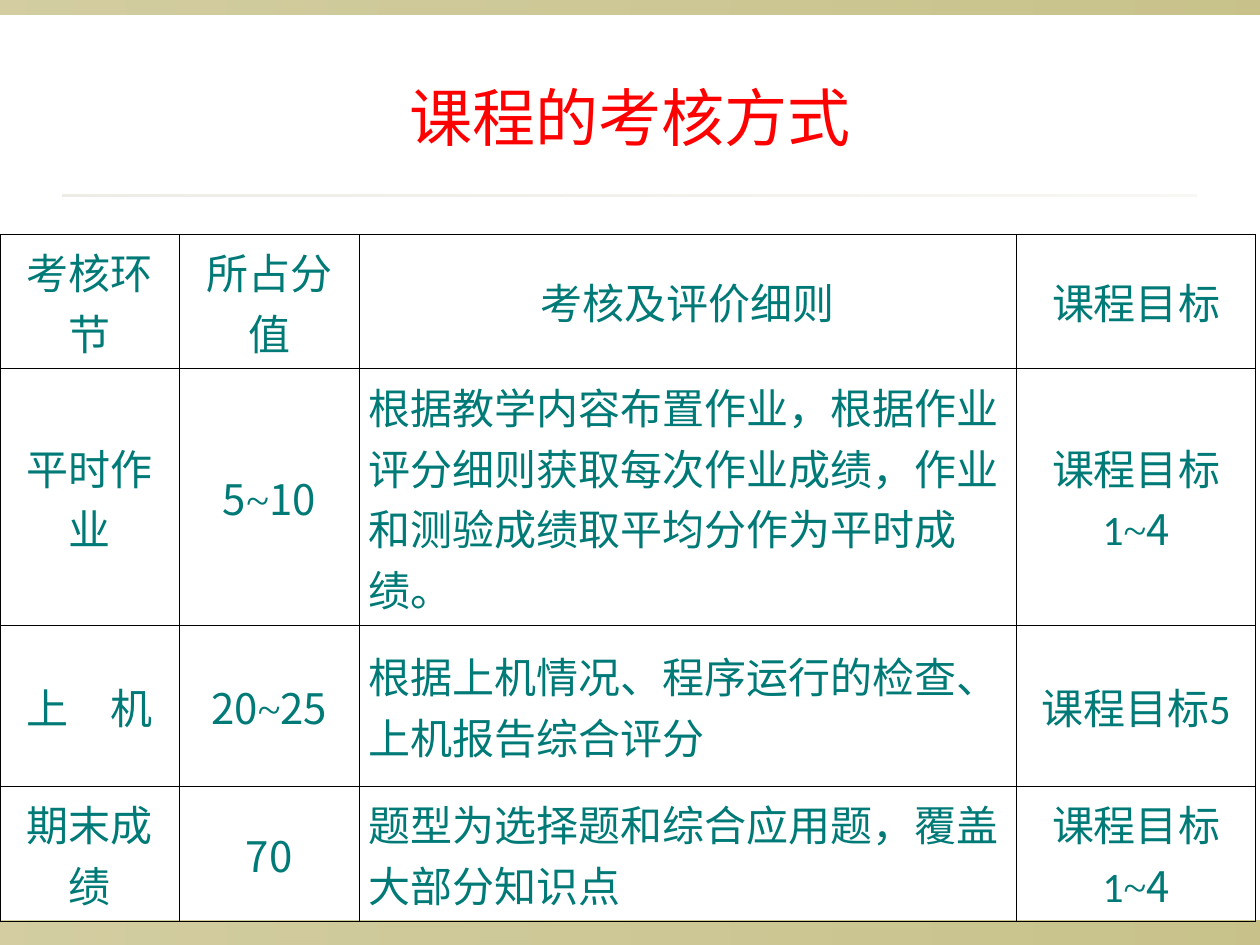
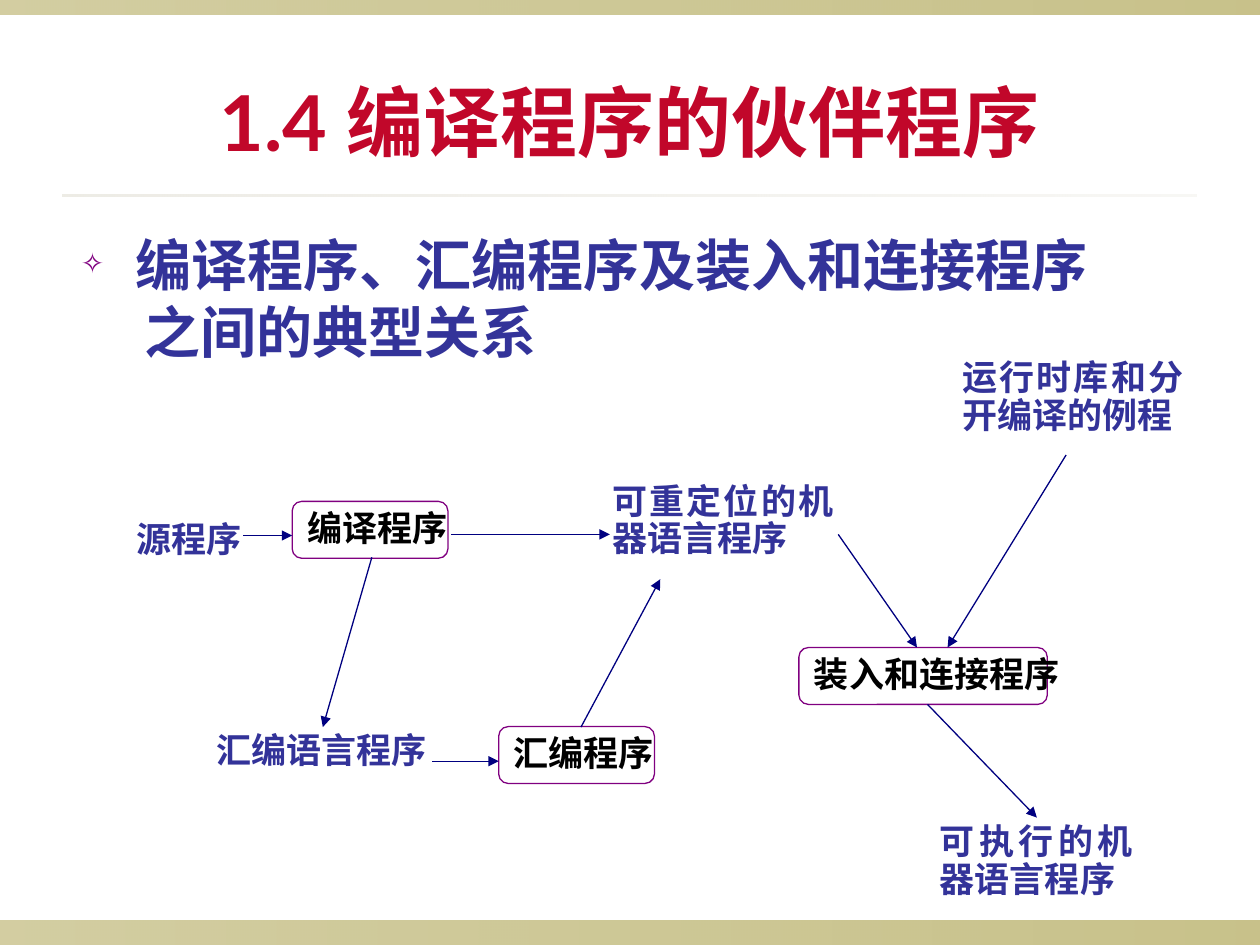
from dataclasses import dataclass

import pptx
import pptx.dml.color
import pptx.enum.shapes
import pptx.enum.text
import pptx.oxml
import pptx.oxml.ns
import pptx.presentation
import pptx.slide
import pptx.table
import pptx.util
from lxml import etree

Pt = pptx.util.Pt
qn = pptx.oxml.ns.qn
ALIGN = pptx.enum.text.PP_ALIGN
ANCHOR = pptx.enum.text.MSO_ANCHOR
FIT = pptx.enum.text.MSO_AUTO_SIZE
SHAPE = pptx.enum.shapes.MSO_SHAPE
LINE = pptx.enum.shapes.MSO_CONNECTOR


@dataclass(frozen=True)
class Theme:
    red: str = "FF0000"
    crimson: str = "C1072A"
    teal: str = "007A77"
    blue: str = "333399"
    navy: str = "000080"
    purple: str = "800080"
    black: str = "000000"
    white: str = "FFFFFF"
    olive: str = "918415"
    sand: str = "DCD9CC"
    head: str = "Lato"
    grid: str = "Calibri"
    body: str = "Arial"
    flow: str = "Times New Roman"
    han: str = "Noto Sans CJK SC"
    small: float = 20
    cell: float = 24
    list: float = 32
    title: float = 36
    big: float = 44
    thin: float = 0.45
    edge: float = 0.75


THEME = Theme()


@dataclass(frozen=True)
class Box:
    left: float
    top: float
    width: float
    height: float

    def lengths(self) -> list[int]:
        return [Pt(v) for v in (self.left, self.top, self.width, self.height)]


@dataclass(frozen=True)
class Band:
    box: Box
    color: str
    start: int
    end: int


@dataclass(frozen=True)
class Style:
    font: str
    size: float
    color: str
    bold: bool = False


@dataclass(frozen=True)
class Node:
    text: str
    left: float
    top: float
    width: float
    height: float = 32.5


@dataclass(frozen=True)
class Label:
    text: str
    box: Box
    wrap: bool = True


@dataclass(frozen=True)
class Arrow:
    x1: float
    y1: float
    x2: float
    y2: float


BANDS = [
    Band(Box(0, 526, 720, 14), THEME.olive, 40, 50),
    Band(Box(0, 0, 720, 8.6), THEME.olive, 40, 50),
    Band(Box(36, 110.9, 648, 1.5), THEME.sand, 50, 20),
]
COLS = [102.6, 102.6, 375.8, 136.4]
ROWS = [76.4, 146.8, 92, 76.4]
CELLS = [
    ["考核环节", "所占分值", "考核及评价细则", "课程目标"],
    ["平时作业", "5~10",
     "根据教学内容布置作业，根据作业评分细则获取每次作业成绩，作业和测验成绩取平均分作为平时成绩。",
     "课程目标1~4"],
    ["上　机", "20~25", "根据上机情况、程序运行的检查、上机报告综合评分", "课程目标5"],
    ["期末成绩", "70", "题型为选择题和综合应用题，覆盖大部分知识点", "课程目标1~4"],
]
NODES = [
    Node("编译程序", 167, 286.5, 89),
    Node("装入和连接程序", 456.5, 370, 142),
    Node("汇编程序", 285, 415.2, 89),
]
LABELS = [
    Label("可重定位的机器语言程序", Box(342.8, 273, 140.5, 50)),
    Label("源程序", Box(71, 295, 89, 29)),
    Label("汇编语言程序", Box(116.5, 415.5, 134.5, 29), False),
    Label("可执行的机器语言程序", Box(530, 467.5, 124.5, 50)),
    Label("运行时库和分开编译的例程", Box(542.8, 202.5, 140.5, 50)),
]
ARROWS = [
    Arrow(139, 306, 167, 306),
    Arrow(247, 435, 285, 435),
    Arrow(212.5, 318.5, 184.5, 415.5),
    Arrow(258, 305.4, 348.5, 305.4),
    Arrow(332, 415.5, 377.3, 331),
    Arrow(479, 305.4, 524, 370),
    Arrow(530, 402.5, 592.5, 467.2),
    Arrow(609.2, 260, 541.5, 370),
]


def rgb(code: str) -> pptx.dml.color.RGBColor:
    return pptx.dml.color.RGBColor.from_string(code)


def place(shape, box: Box) -> None:
    shape.left, shape.top, shape.width, shape.height = box.lengths()


def dress(para, style: Style, align=None, space: float | None = None) -> None:
    para.alignment = align
    para.line_spacing = space
    font = para.font
    font.name, font.size, font.bold = style.font, Pt(style.size), style.bold
    font.color.rgb = rgb(style.color)
    base = para._p.pPr.find(qn("a:defRPr"))
    etree.SubElement(base, qn("a:ea")).set("typeface", THEME.han)


def add_bands(slide: pptx.slide.Slide, master: pptx.slide.SlideMaster) -> None:
    for spot, band in enumerate(BANDS, 2):
        shape = slide.shapes.add_shape(SHAPE.RECTANGLE, *band.box.lengths())
        shape.shadow.inherit = False
        shape.line.fill.background()
        shape.fill.gradient()
        shape.fill.gradient_angle = 0
        for stop in shape.fill.gradient_stops:
            stop.color.rgb = rgb(band.color)
        tints = shape.element.spPr.iter(qn("a:srgbClr"))
        for tint, alpha in zip(tints, (band.start, band.end)):
            etree.SubElement(tint, qn("a:alpha")).set("val", str(alpha * 1000))
        master.shapes.element.insert(spot, shape.element)


def set_title(slide: pptx.slide.Slide, text: str, box: Box, style: Style) -> None:
    title = slide.shapes.title
    place(title, box)
    frame = title.text_frame
    frame.text = text
    frame.auto_size = FIT.NONE
    frame.vertical_anchor = ANCHOR.MIDDLE
    dress(frame.paragraphs[0], style, ALIGN.CENTER)


def add_edges(cell: pptx.table._Cell) -> None:
    props = cell._tc.get_or_add_tcPr()
    for spot, side in enumerate(("lnL", "lnR", "lnT", "lnB")):
        edge = etree.Element(qn(f"a:{side}"), w=str(Pt(THEME.thin)))
        fill = etree.SubElement(edge, qn("a:solidFill"))
        etree.SubElement(fill, qn("a:srgbClr")).set("val", THEME.black)
        props.insert(spot, edge)


def fill_cell(cell: pptx.table._Cell, text: str, align) -> None:
    cell.fill.background()
    add_edges(cell)
    cell.vertical_anchor = ANCHOR.MIDDLE
    cell.margin_left = cell.margin_right = Pt(5.4)
    cell.margin_top = cell.margin_bottom = Pt(3.6)
    para = cell.text_frame.paragraphs[0]
    dress(para, Style(THEME.grid, THEME.cell, THEME.teal), align)
    para._p.pPr.set("hangingPunct", "0")
    for part in filter(None, text.partition("~")):
        run = para.add_run()
        run.text = part
        if part == "~":
            run.font.name = THEME.flow
        elif part.isdigit():
            run.font.name = THEME.han


def add_grid(slide: pptx.slide.Slide) -> None:
    box = Box(0, 133.9, sum(COLS), sum(ROWS))
    table = slide.shapes.add_table(len(ROWS), len(COLS), *box.lengths()).table
    table.first_row = table.horz_banding = False
    for col, width in zip(table.columns, COLS):
        col.width = Pt(width)
    for row, height in zip(table.rows, ROWS):
        row.height = Pt(height)
    for r, texts in enumerate(CELLS):
        for c, text in enumerate(texts):
            align = ALIGN.LEFT if r and c == 2 else ALIGN.CENTER
            fill_cell(table.cell(r, c), text, align)


def set_list(slide: pptx.slide.Slide) -> None:
    body = slide.placeholders[1]
    place(body, Box(39, 128, 642, 91))
    frame = body.text_frame
    frame.text = "编译程序、汇编程序及装入和连接程序\n之间的典型关系"
    frame.auto_size = FIT.NONE
    style = Style(THEME.body, THEME.list, THEME.blue, True)
    for para, inset, mark in zip(frame.paragraphs, (31, 36.5), ("✧", "")):
        dress(para, style, ALIGN.LEFT, 1.0)
        para.space_before = Pt(0)
        props = para._p.pPr
        props.set("marL", str(Pt(inset)))
        props.set("indent", str(-Pt(inset) if mark else 0))
        base = props.find(qn("a:defRPr"))
        if not mark:
            base.addprevious(etree.Element(qn("a:buNone")))
            continue
        color = etree.Element(qn("a:buClr"))
        etree.SubElement(color, qn("a:srgbClr")).set("val", THEME.purple)
        base.addprevious(color)
        base.addprevious(etree.Element(qn("a:buSzPct"), val="50000"))
        base.addprevious(etree.Element(qn("a:buFont"), typeface=THEME.body))
        base.addprevious(etree.Element(qn("a:buChar"), char=mark))


def set_flow(shape, text: str, color: str, wrap: bool) -> None:
    frame = shape.text_frame
    frame.text = text
    frame.word_wrap = wrap
    style = Style(THEME.flow, THEME.small, color, True)
    dress(frame.paragraphs[0], style, ALIGN.JUSTIFY, 0.9)


def add_node(slide: pptx.slide.Slide, node: Node) -> None:
    box = Box(node.left, node.top, node.width, node.height)
    shape = slide.shapes.add_shape(SHAPE.ROUNDED_RECTANGLE, *box.lengths())
    shape.shadow.inherit = False
    shape.fill.solid()
    shape.fill.fore_color.rgb = rgb(THEME.white)
    shape.line.color.rgb = rgb(THEME.purple)
    shape.line.width = Pt(THEME.edge)
    shape.text_frame.vertical_anchor = ANCHOR.MIDDLE
    set_flow(shape, node.text, THEME.black, False)


def add_label(slide: pptx.slide.Slide, label: Label) -> None:
    shape = slide.shapes.add_textbox(*label.box.lengths())
    set_flow(shape, label.text, THEME.blue, label.wrap)


def add_arrow(slide: pptx.slide.Slide, arrow: Arrow) -> None:
    ends = [Pt(v) for v in (arrow.x1, arrow.y1, arrow.x2, arrow.y2)]
    link = slide.shapes.add_connector(LINE.STRAIGHT, *ends)
    link.line.color.rgb = rgb(THEME.navy)
    link.line.width = Pt(THEME.edge)
    props = link.element.spPr
    etree.SubElement(props.find(qn("a:ln")), qn("a:tailEnd")).set("type", "triangle")
    etree.SubElement(props, qn("a:effectLst"))


def main() -> None:
    deck = pptx.Presentation()
    deck.slide_width, deck.slide_height = Pt(720), Pt(540)

    marks = deck.slides.add_slide(deck.slide_layouts[5])
    add_bands(marks, deck.slide_master)
    set_title(marks, "课程的考核方式", Box(36, 21.6, 648, 90),
              Style(THEME.head, THEME.title, THEME.red))
    add_grid(marks)

    tools = deck.slides.add_slide(deck.slide_layouts[1])
    set_title(tools, "1.4 编译程序的伙伴程序", Box(54, 23.8, 612, 90),
              Style(THEME.head, THEME.big, THEME.crimson, True))
    set_list(tools)
    for node in NODES:
        add_node(tools, node)
    for label in LABELS:
        add_label(tools, label)
    for arrow in ARROWS:
        add_arrow(tools, arrow)

    deck.save("out.pptx")


if __name__ == "__main__":
    main()
